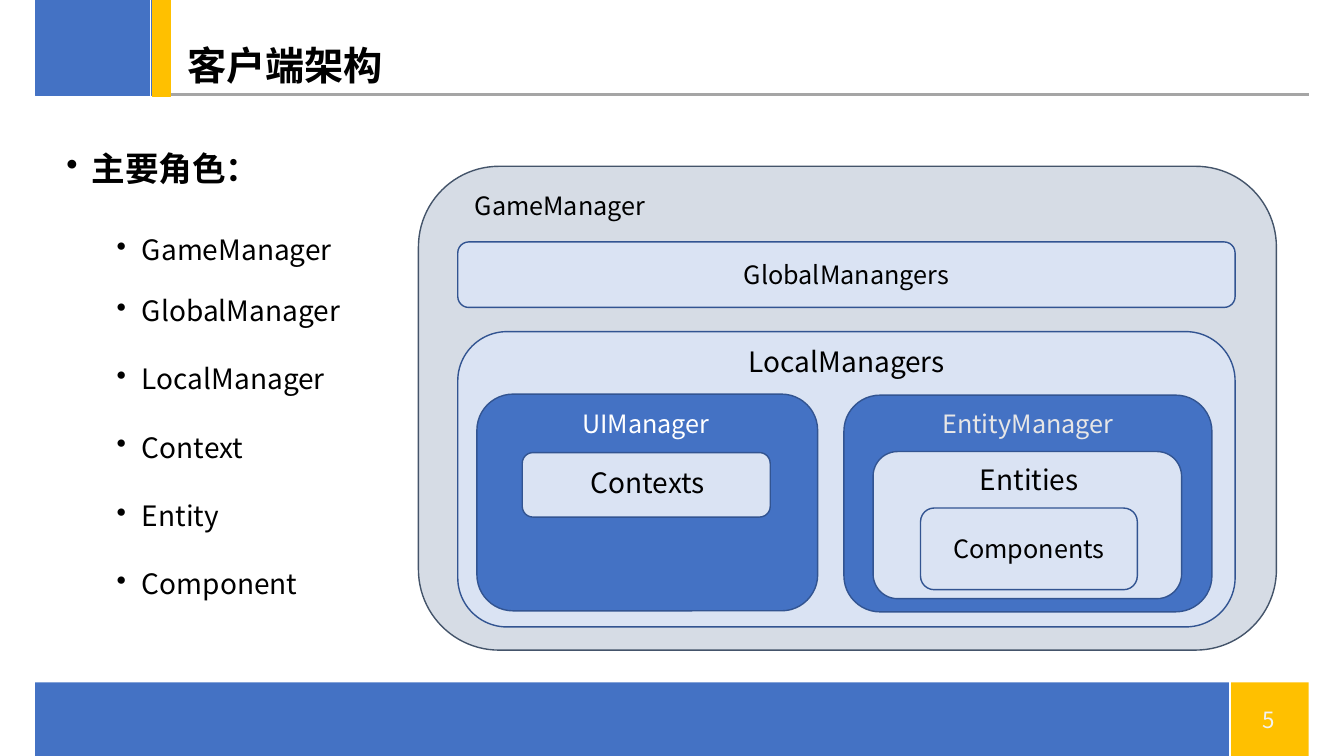
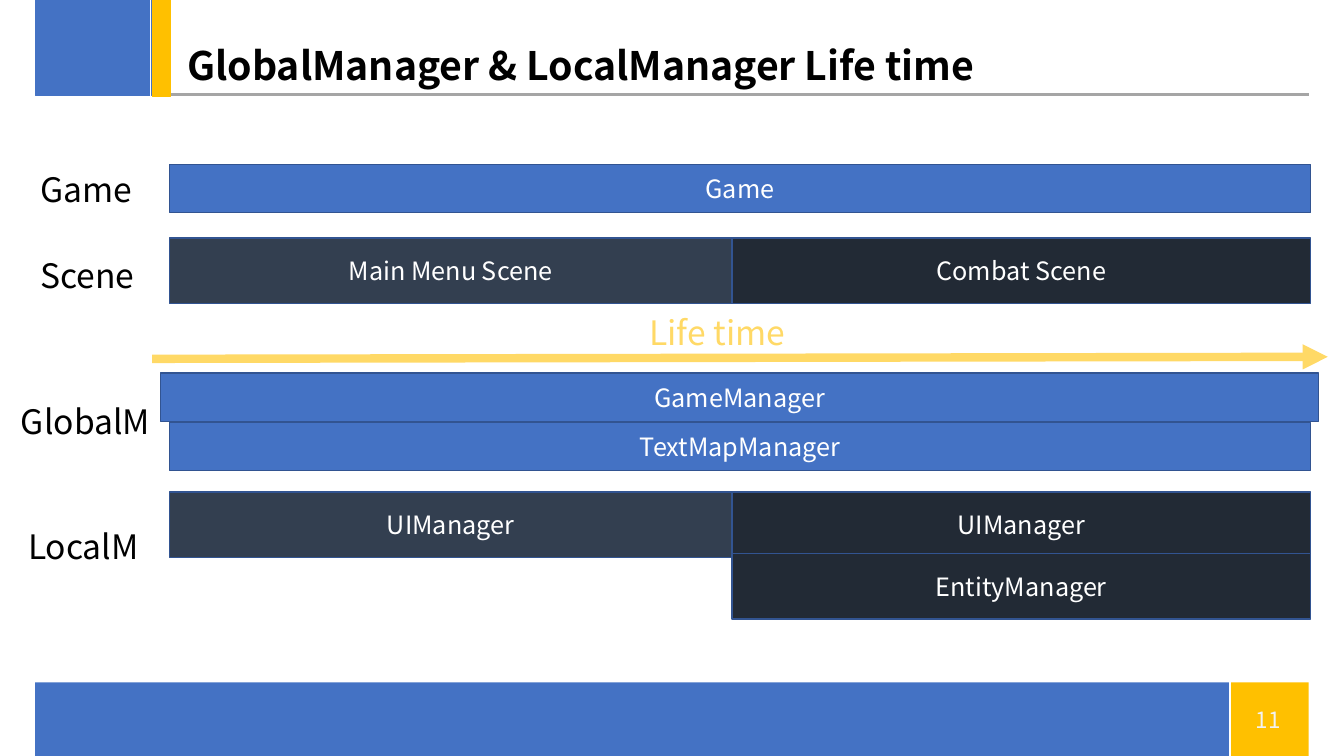
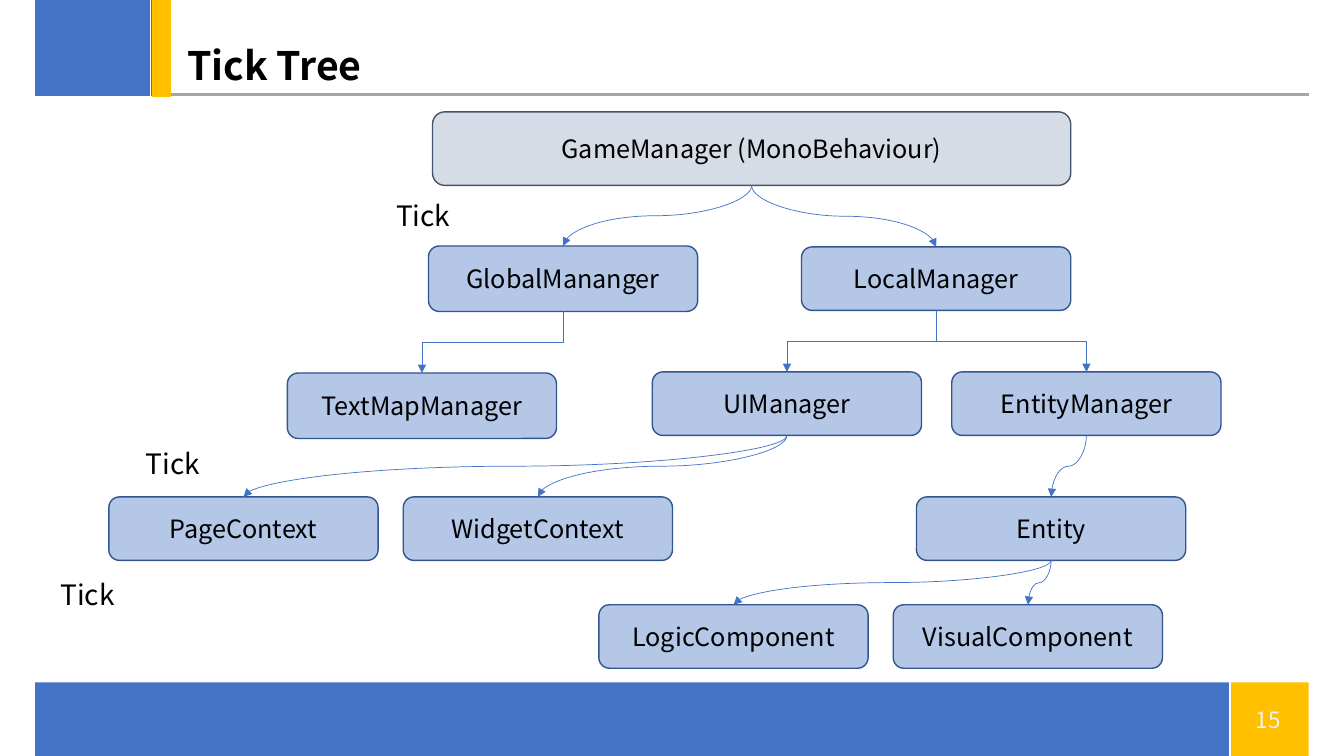
from lxml import etree
from pptx import Presentation
from pptx.dml.color import RGBColor
from pptx.enum.shapes import MSO_CONNECTOR, MSO_SHAPE
from pptx.enum.text import MSO_ANCHOR, PP_ALIGN
from pptx.oxml.ns import qn
from pptx.util import Pt

PX = 9144  # EMU per px, 100 px to the inch
FONT = "Noto Sans CJK SC"
BLUE, GOLD, GRAY = "4472C4", "FFC000", "A5A5A5"
OUTLINE, SLATE = "325491", "44546A"
PALE, SOFT, MIST = "DAE3F3", "B4C7E7", "D6DCE5"
STEEL, NIGHT, SAND = "333F50", "222A35", "FFD966"
BLACK, WHITE = "000000", "FFFFFF"
RECT, ROUND = MSO_SHAPE.RECTANGLE, MSO_SHAPE.ROUNDED_RECTANGLE


def emu(*lengths):
    return [round(n * PX) for n in lengths]


def rgb(color):
    return RGBColor.from_string(color)


def style(p, size, color=BLACK, bold=False, align=PP_ALIGN.LEFT):
    p.alignment = align
    p.font.size = Pt(size)
    p.font.name = FONT
    p.font.bold = bold
    p.font.color.rgb = rgb(color)
    latin = p._p.pPr.find(qn("a:defRPr")).find(qn("a:latin"))
    ea = etree.Element(qn("a:ea"), typeface=FONT)
    latin.addnext(ea)


def add_box(slide, kind, at, fill, line=None, text="", color=BLACK):
    """Add a filled preset shape, with centred text if any is given."""
    sp = slide.shapes.add_shape(kind, *emu(*at))
    sp.shadow.inherit = False
    sp.fill.solid()
    sp.fill.fore_color.rgb = rgb(fill)
    if line:
        sp.line.color.rgb = rgb(line)
        sp.line.width = Pt(1)
    else:
        sp.line.fill.background()
    if text:
        tf = sp.text_frame
        tf.vertical_anchor = MSO_ANCHOR.MIDDLE
        p = tf.paragraphs[0]
        p.text = text
        style(p, 18, color, align=PP_ALIGN.CENTER)
    return sp


def add_label(slide, at, text, size, color=BLACK, bold=False,
              align=PP_ALIGN.LEFT, anchor=MSO_ANCHOR.TOP):
    tf = slide.shapes.add_textbox(*emu(*at)).text_frame
    tf.word_wrap = True
    tf.vertical_anchor = anchor
    p = tf.paragraphs[0]
    p.text = text
    style(p, size, color, bold, align)


def add_line(slide, kind, ends, color, width, arrow=False):
    c = slide.shapes.add_connector(kind, *emu(*ends))
    c.line.color.rgb = rgb(color)
    c.line.width = Pt(width)
    if arrow:
        ln = c.line._get_or_add_ln()
        etree.SubElement(ln, qn("a:tailEnd"), type="triangle")
    etree.SubElement(c._element.spPr, qn("a:effectLst"))
    return c


def link_down(slide, kind, parent, child):
    """Join the parent's bottom to the child's top, leaving vertically."""
    c = add_line(slide, kind, (0, 0, 0, 0), BLUE, 0.5, arrow=True)
    c.begin_connect(parent, 2)
    c.end_connect(child, 0)
    x1, y1 = parent.left + parent.width // 2, parent.top + parent.height
    x2, y2 = child.left + child.width // 2, child.top
    c.width, c.height = y2 - y1, abs(x2 - x1)
    c.left = (x1 + x2 - c.width) // 2
    c.top = (y1 + y2 - c.height) // 2
    to_right = x2 > x1
    xfrm = c._element.spPr.find(qn("a:xfrm"))
    xfrm.set("rot", str((270 if to_right else 90) * 60000))
    xfrm.set("flipH", "1" if to_right else "0")


def add_bullets(slide, at, items):
    """Add bullets from (text, size, bold, left margin px, space before pt)."""
    tf = slide.shapes.add_textbox(*emu(*at)).text_frame
    tf.word_wrap = True
    for i, (text, size, bold, margin, before) in enumerate(items):
        p = tf.add_paragraph() if i else tf.paragraphs[0]
        p.text = text
        p.line_spacing = 0.9
        p.space_before = Pt(before)
        style(p, size, bold=bold)
        pPr = p._p.pPr
        pPr.set("marL", str(margin * PX))
        pPr.set("indent", str(-25 * PX))
        bullet = etree.Element(qn("a:buChar"), char="•")
        pPr.find(qn("a:defRPr")).addprevious(bullet)


def add_page(prs, title, number):
    """Start a slide with the shared bands, title and page number."""
    slide = prs.slides.add_slide(prs.slide_layouts[6])
    straight = MSO_CONNECTOR.STRAIGHT
    add_line(slide, straight, (170, 94, 1298, 94), GRAY, 2.25)
    add_box(slide, RECT, (1220, 677, 78, 73), GOLD)
    add_box(slide, RECT, (35, 0, 115, 95), BLUE, BLUE)
    add_box(slide, RECT, (35, 677, 1186, 73), BLUE)
    add_label(slide, (1228, 695, 60, 37), number, 16, "F2F2F2",
              align=PP_ALIGN.CENTER, anchor=MSO_ANCHOR.MIDDLE)
    add_box(slide, RECT, (151, 0, 18, 96), GOLD, GOLD)
    add_line(slide, straight, (149, -2, 149, 116), WHITE, 1)
    add_line(slide, straight, (1220, 669, 1220, 752), WHITE, 1)
    add_label(slide, (176, 38, 945, 53), title, 28, bold=True,
              anchor=MSO_ANCHOR.MIDDLE)
    return slide


def build_architecture(prs):
    slide = add_page(prs, "客户端架构", "5")
    roles = ["LocalManager", "Context", "Entity", "Component"]
    add_bullets(slide, (56, 146, 340, 528), [
        ("主要角色：", 24, True, 25, 0),
        ("GameManager", 20, False, 75, 34),
        ("GlobalManager", 20, False, 75, 22.5),
        *((role, 20, False, 75, 27) for role in roles)])

    add_box(slide, ROUND, (415, 165, 851, 480), MIST, SLATE)
    for at, fill, text in [
            ((454, 240, 771, 65), PALE, "GlobalManangers"),
            ((454, 329, 771, 293), PALE, ""),
            ((473, 391, 338, 215), BLUE, ""),
            ((837, 392, 365, 215), BLUE, ""),
            ((866, 448, 306, 146), PALE, ""),
            ((913, 504, 215, 81), PALE, "Components"),
            ((518, 449, 246, 64), PALE, "")]:
        add_box(slide, ROUND, at, fill, OUTLINE, text)

    for at, text in [((733, 337, 258, 44), "LocalManagers"),
                     ((962, 454, 130, 44), "Entities"),
                     ((576, 457, 145, 44), "Contexts")]:
        add_label(slide, at, text, 20)
    for at, text, color in [((921, 400, 197, 40), "EntityManager", "E7E6E6"),
                            ((563, 400, 155, 40), "UIManager", WHITE),
                            ((454, 184, 203, 40), "GameManager", BLACK)]:
        add_label(slide, at, text, 18, color, align=PP_ALIGN.CENTER)


def build_life_time(prs):
    slide = add_page(prs, "GlobalManager & LocalManager Life time", "11")
    start, switch, end = 168, 726, 1300
    for left, right, top, height, fill, text in [
            (start, end, 163, 48, BLUE, "Game"),
            (start, switch, 236, 65, STEEL, "Main Menu Scene"),
            (switch, end, 236, 65, NIGHT, "Combat Scene"),
            (start, end, 419, 48, BLUE, "TextMapManager"),
            (start, switch, 488, 65, STEEL, "UIManager"),
            (switch, end, 488, 65, NIGHT, "UIManager"),
            (switch, end, 549, 65, NIGHT, "EntityManager"),
            (start - 9, end + 8, 370, 48, BLUE, "GameManager")]:
        add_box(slide, RECT, (left, top, right - left, height), fill,
                OUTLINE, text, WHITE)

    add_label(slide, (378, 305, 667, 50), "Life time", 24, SAND,
              align=PP_ALIGN.CENTER)
    add_line(slide, MSO_CONNECTOR.STRAIGHT, (151, 356, 1317, 354), SAND, 6,
             arrow=True)
    for left, top, text in [(30, 163, "Game"), (30, 248, "Scene"),
                            (11, 393, "GlobalM"), (18, 517, "LocalM")]:
        add_label(slide, (left, top, 667, 50), text, 24)


def build_tick_tree(prs):
    slide = add_page(prs, "Tick Tree", "15")
    nodes = {"GameManager": add_box(
        slide, ROUND, (429, 111, 633, 73), MIST, SLATE,
        "GameManager (MonoBehaviour)")}
    for name, left, top, height in [
            ("GlobalMananger", 425, 244, 65), ("LocalManager", 795, 245, 63),
            ("TextMapManager", 285, 370, 65), ("UIManager", 647, 369, 63),
            ("EntityManager", 944, 369, 63), ("PageContext", 108, 493, 63),
            ("WidgetContext", 400, 493, 63), ("Entity", 909, 493, 63),
            ("LogicComponent", 594, 600, 63),
            ("VisualComponent", 886, 600, 63)]:
        nodes[name] = add_box(slide, ROUND, (left, top, 267, height), SOFT,
                              OUTLINE, name)

    curve, elbow = MSO_CONNECTOR.CURVE, MSO_CONNECTOR.ELBOW
    for kind, parent, children in [
            (curve, "GameManager", ["LocalManager", "GlobalMananger"]),
            (curve, "UIManager", ["PageContext", "WidgetContext"]),
            (curve, "EntityManager", ["Entity"]),
            (curve, "Entity", ["LogicComponent", "VisualComponent"]),
            (elbow, "GlobalMananger", ["TextMapManager"]),
            (elbow, "LocalManager", ["UIManager", "EntityManager"])]:
        for child in children:
            link_down(slide, kind, nodes[parent], nodes[child])

    for left, top in [(383, 192), (135, 438), (50, 568)]:
        add_label(slide, (left, top, 617, 44), "Tick", 20)


def main():
    prs = Presentation()
    prs.slide_width, prs.slide_height = emu(1333, 750)
    build_architecture(prs)
    build_life_time(prs)
    build_tick_tree(prs)
    prs.save("out.pptx")


if __name__ == "__main__":
    main()
